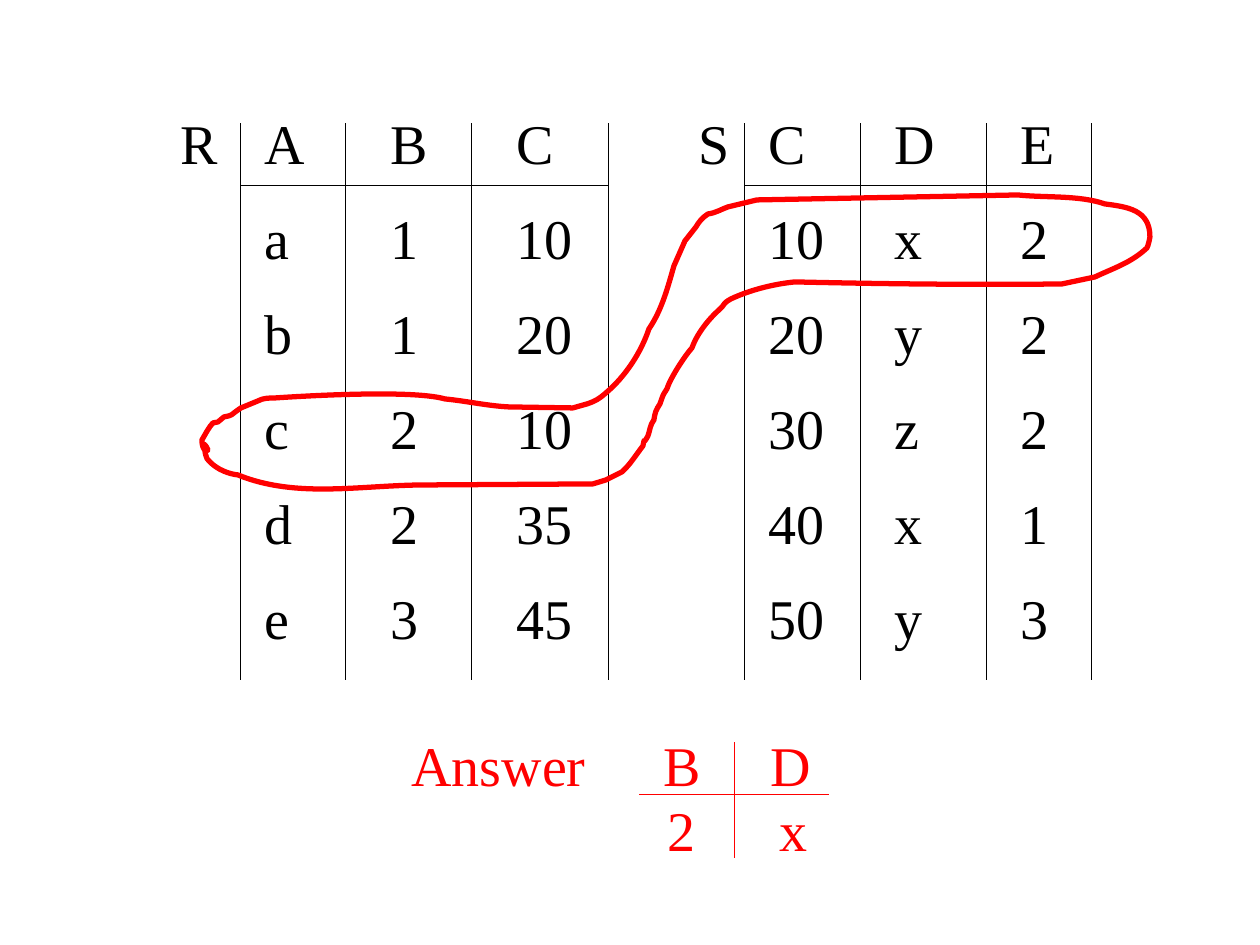
import pptx
import pptx.dml.color
import pptx.enum.shapes
import pptx.enum.text
import pptx.oxml.ns
import pptx.util
from lxml import etree

PX = 914400 // 126
COLOURS = {"ink": "000000", "answer": "FF0000"}
FONT = {"name": "Times New Roman", "size": pptx.util.Pt(32)}

HEADER = ["R", "A", "B", "C", "S", "C", "D", "E"]
ROWS = [
    ["a", "1", "10", "10", "x", "2"],
    ["b", "1", "20", "20", "y", "2"],
    ["c", "2", "10", "30", "z", "2"],
    ["d", "2", "35", "40", "x", "1"],
    ["e", "3", "45", "50", "y", "3"],
]
ANSWER = [["Answer", "B", "D"], ["", "2", "x"]]

# Tab stops are measured from the left edge of the text
COLUMN_TABS = [126 * inch for inch in (1, 2, 3, 5, 6, 7)]
HEADER_TABS = sorted(COLUMN_TABS + [42, 560])
ANSWER_TABS = [[271, 379], [270, 382]]

TOP, HEADER_LINE, BOTTOM = 124, 186, 680
RELATIONS = [[241, 346, 472, 609], [745, 861, 987, 1092]]
ANSWER_LINES = [(640, 795, 829, 795), (735, 743, 735, 858)]

# Each step is the end of a straight line, or two control points and an end
LOOP_START = (204, 444)
LOOP_STEPS = [
    (205, 450, 205, 459, 210, 462), (218, 470, 229, 474, 238, 475),
    (297, 499, 362, 485, 425, 485), (593, 484), (606, 480), (622, 472),
    (630, 465, 636, 455, 643, 446), (646, 433, 641, 449, 648, 436),
    (650, 431, 650, 425, 654, 420), (655, 413, 656, 410, 660, 404),
    (664, 393, 662, 397, 667, 389), (670, 379, 684, 357, 692, 348),
    (697, 334, 708, 320, 719, 310), (726, 304, 722, 304, 731, 299),
    (750, 290, 774, 284, 795, 282), (885, 284, 973, 285, 1062, 284),
    (1095, 277), (1114, 268, 1131, 263, 1147, 248),
    (1148, 247, 1150, 238, 1150, 237), (1150, 210, 1128, 207, 1105, 204),
    (1079, 195, 1046, 198, 1018, 195), (757, 200), (728, 207),
    (722, 209, 716, 213, 708, 214), (702, 218, 699, 222, 696, 227),
    (685, 241), (674, 266), (668, 287, 662, 310, 649, 329),
    (641, 353, 625, 377, 606, 393), (599, 399, 596, 401, 587, 404),
    (573, 408), (509, 407), (488, 406, 466, 401, 445, 399),
    (410, 389, 290, 397, 275, 398), (270, 398, 263, 398, 258, 401),
    (241, 408), (229, 416, 234, 415, 224, 417), (218, 422), (213, 423),
    (209, 427, 205, 435, 202, 440), (202, 442, 202, 446, 204, 449),
    (204, 450, 208, 452, 208, 450), (208, 447, 205, 446, 204, 444),
]


def rgb(name):
    return pptx.dml.color.RGBColor.from_string(COLOURS[name])


def add_tabbed_text(page, place, inset_top, lines, colour, gap, spacing):
    """Write lines of (text, tab stops, tab alignment) in one text box."""
    frame = page.shapes.add_textbox(*(value * PX for value in place)).text_frame
    frame.word_wrap = True
    frame.margin_top = inset_top * PX
    for index, (text, stops, alignment) in enumerate(lines):
        para = frame.paragraphs[0] if index == 0 else frame.add_paragraph()
        para.text = text
        tabs = etree.SubElement(para._p.get_or_add_pPr(), pptx.oxml.ns.qn("a:tabLst"))
        for stop in stops:
            etree.SubElement(tabs, pptx.oxml.ns.qn("a:tab"), pos=str(stop * PX), algn=alignment)
        para.alignment = pptx.enum.text.PP_ALIGN.JUSTIFY
        para.space_before = pptx.util.Pt(gap if index else 0)
        para.line_spacing = spacing
        for span in para.runs:
            for key, value in FONT.items():
                setattr(span.font, key, value)
            span.font.color.rgb = rgb(colour)


def add_rule(page, ends, colour):
    """Draw a hairline, free of the theme's line style."""
    rule = page.shapes.add_connector(
        pptx.enum.shapes.MSO_CONNECTOR.STRAIGHT, *(value * PX for value in ends))
    rule.line.color.rgb = rgb(colour)
    etree.SubElement(rule._element.spPr, pptx.oxml.ns.qn("a:effectLst"))
    rule._element.remove(rule._element.find(pptx.oxml.ns.qn("p:style")))


def bend_segments(shape, steps):
    """Turn the straight segments of a freeform into curves where steps say so."""
    segments = list(shape._element.iter(pptx.oxml.ns.qn("a:lnTo")))
    for segment, step in zip(segments, steps):
        if len(step) == 2:
            continue
        segment.tag = pptx.oxml.ns.qn("a:cubicBezTo")
        for place, start in enumerate((0, 2)):
            point = etree.Element(
                pptx.oxml.ns.qn("a:pt"),
                x=str(step[start] * PX - shape.left), y=str(step[start + 1] * PX - shape.top))
            segment.insert(place, point)


def add_loop(page):
    builder = page.shapes.build_freeform(*(value * PX for value in LOOP_START), scale=1.0)
    builder.add_line_segments([(step[-2] * PX, step[-1] * PX) for step in LOOP_STEPS], close=True)
    loop = builder.convert_to_shape()
    bend_segments(loop, LOOP_STEPS)
    loop.shadow.inherit = False
    loop.fill.background()
    loop.line.width = pptx.util.Pt(3)
    loop.line.color.rgb = rgb("answer")


def main():
    deck = pptx.Presentation()
    deck.slide_width, deck.slide_height = pptx.util.Inches(10), pptx.util.Inches(7.5)
    page = deck.slides.add_slide(deck.slide_layouts[6])

    lines = [("\t" + "\t".join(HEADER), HEADER_TABS, "l")]
    lines += [("\t" + "\t".join(row), COLUMN_TABS, "l") for row in ROWS]
    add_tabbed_text(page, (126, 102, 1018, 585), 7, lines, "ink", 15.8, 1.0)

    for columns in RELATIONS:
        for x in columns:
            add_rule(page, (x, TOP, x, BOTTOM), "ink")
        add_rule(page, (columns[0], HEADER_LINE, columns[-1], HEADER_LINE), "ink")
    add_loop(page)

    lines = [("\t".join(row), stops, "ctr") for row, stops in zip(ANSWER, ANSWER_TABS)]
    add_tabbed_text(page, (399, 722, 426, 147), 12, lines, "answer", 0, 0.97)
    for ends in ANSWER_LINES:
        add_rule(page, ends, "answer")

    deck.save("out.pptx")


if __name__ == "__main__":
    main()
